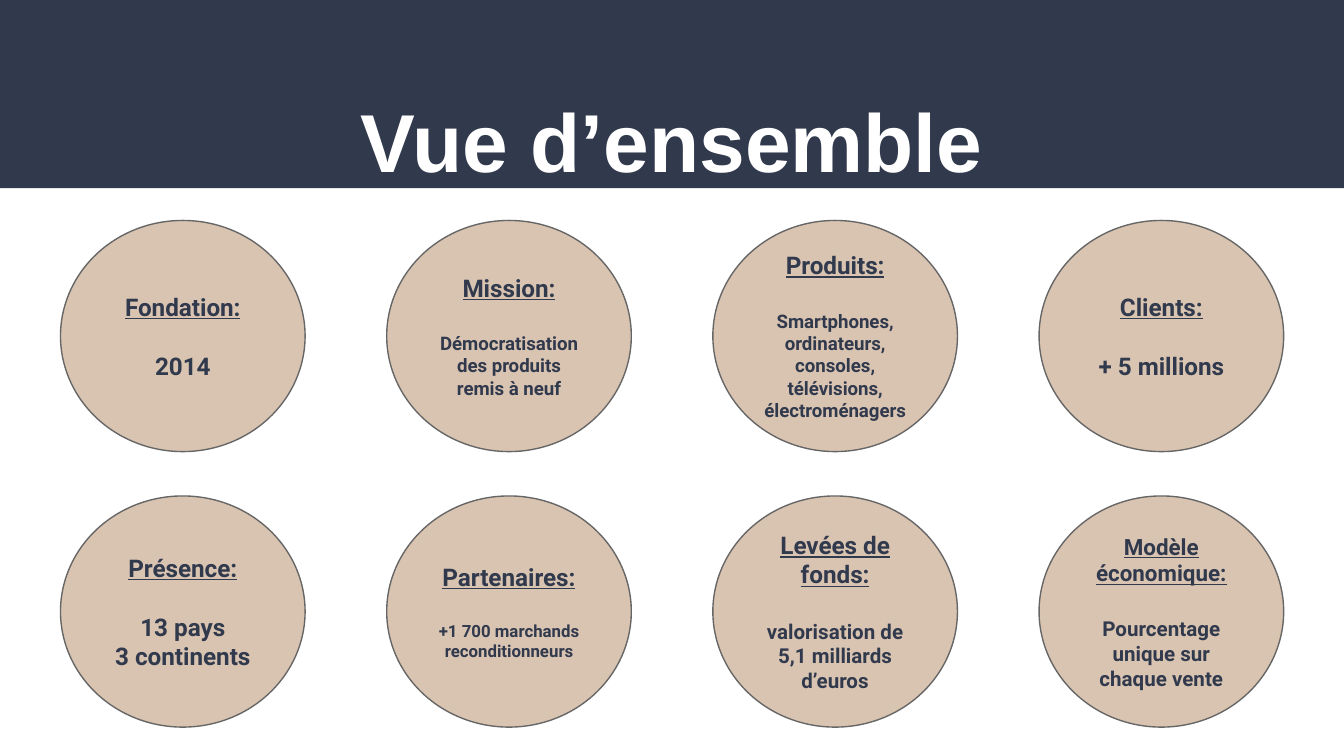
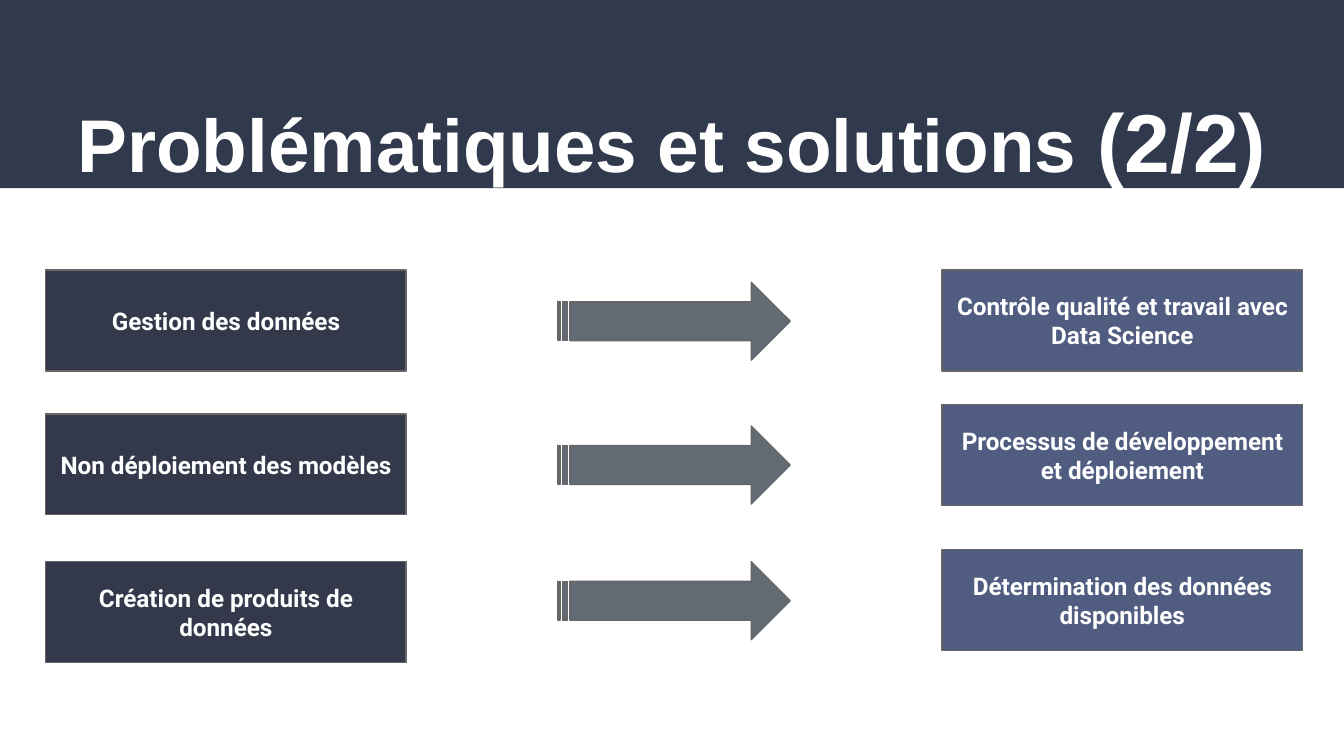
"""Build two slides: a company overview and a problems-to-solutions map."""
from dataclasses import dataclass
from typing import Any

from pptx import Presentation
from pptx.dml.color import RGBColor
from pptx.enum.shapes import MSO_SHAPE
from pptx.enum.text import MSO_ANCHOR, PP_ALIGN
from pptx.util import Emu, Inches, Pt

SLIDE_WIDTH, SLIDE_HEIGHT = Inches(10), Inches(5.625)
COLUMNS = 100
MODULE = SLIDE_WIDTH / COLUMNS

NAVY, SAND, GREY, WHITE = "31394D", "D9C4B1", "666666", "FFFFFF"
PROBLEM_FILL, SOLUTION_FILL, ARROW_FILL = "33394B", "505C80", "626B73"
TITLE_FONT, BODY_FONT = "Arial", "Roboto"
FRAME = {"margin_left": Inches(0.1), "margin_right": Inches(0.1),
         "margin_top": Inches(0.1), "margin_bottom": Inches(0.1), "word_wrap": True}


@dataclass(frozen=True)
class Area:
    left: float
    top: float
    width: float
    height: float

    def lengths(self) -> list[Emu]:
        return [Emu(round(modules * MODULE))
                for modules in (self.left, self.top, self.width, self.height)]


@dataclass(frozen=True)
class Span:
    text: str
    size: float = 13
    color: str = WHITE
    font: str = BODY_FONT
    underline: bool = False


@dataclass(frozen=True)
class Fact:
    heading: str
    details: tuple[str, ...]
    detail_size: float = 13
    heading_size: float = 13


@dataclass(frozen=True)
class Match:
    problem: str
    solution: str
    problem_top: float
    solution_top: float
    arrow_top: float


BAND = Area(0, 0, COLUMNS, 14)
TITLE = Area(3.4, 4.6, 93.2, 6.8)
CIRCLE = Area(4.5, 16.4, 18.2, 17.2)
CIRCLES_PER_ROW, CIRCLE_STEP, CIRCLE_ROW_STEP = 4, 24.27, 20.5
HEADING_GAP = 16

FACTS = (
    Fact("Fondation:", ("2014",)),
    Fact("Mission:", ("Démocratisation des produits remis à neuf",), 10),
    Fact("Produits:", ("Smartphones, ordinateurs, consoles, télévisions, électroménagers",), 10),
    Fact("Clients:", ("+ 5 millions",)),
    Fact("Présence:", ("13 pays", "3 continents")),
    Fact("Partenaires:", ("+1 700 marchands reconditionneurs",), 9),
    Fact("Levées de fonds:", ("valorisation de 5,1 milliards d’euros",), 11),
    Fact("Modèle économique:", ("Pourcentage unique sur chaque vente",), 11, 12),
)
MATCHES = (
    Match("Gestion des données", "Contrôle qualité et travail avec Data Science",
          20.1, 20.1, 21),
    Match("Non déploiement des modèles", "Processus de développement et déploiement",
          30.8, 30.1, 31.7),
    Match("Création de produits de données", "Détermination des données disponibles",
          41.8, 40.9, 41.8),
)


def rgb(color: str) -> RGBColor:
    return RGBColor.from_string(color)


def apply(target: Any, values: dict[str, Any]) -> None:
    for name, value in values.items():
        setattr(target, name, value)


def add_box(page: Any, kind: MSO_SHAPE, area: Area, fill: str, line: str | None = GREY) -> Any:
    box = page.shapes.add_shape(kind, *area.lengths())
    box.shadow.inherit = False
    box.fill.solid()
    box.fill.fore_color.rgb = rgb(fill)
    if line is None:
        box.line.fill.background()
    else:
        box.line.color.rgb = rgb(line)
        box.line.width = Pt(0.75)
    apply(box.text_frame, FRAME | {"vertical_anchor": MSO_ANCHOR.MIDDLE})
    return box


def write(para: Any, *spans: Span) -> None:
    para.alignment = PP_ALIGN.CENTER
    for span in spans:
        run = para.add_run()
        run.text = span.text
        apply(run.font, {"name": span.font, "size": Pt(span.size),
                         "bold": True, "underline": span.underline})
        run.font.color.rgb = rgb(span.color)


def add_page(deck: Any, *title: Span) -> Any:
    page = deck.slides.add_slide(deck.slide_layouts[6])
    add_box(page, MSO_SHAPE.RECTANGLE, BAND, NAVY, None)
    box = page.shapes.add_textbox(*TITLE.lengths())
    apply(box.text_frame, FRAME | {"vertical_anchor": MSO_ANCHOR.TOP})
    para = box.text_frame.paragraphs[0]
    para.line_spacing = 1.15
    write(para, *title)
    return page


def add_fact(page: Any, fact: Fact, index: int) -> None:
    row, column = divmod(index, CIRCLES_PER_ROW)
    area = Area(CIRCLE.left + column * CIRCLE_STEP, CIRCLE.top + row * CIRCLE_ROW_STEP,
                CIRCLE.width, CIRCLE.height)
    frame = add_box(page, MSO_SHAPE.OVAL, area, SAND).text_frame
    write(frame.paragraphs[0], Span(fact.heading, fact.heading_size, NAVY, underline=True))
    for position, detail in enumerate(fact.details):
        para = frame.add_paragraph()
        if position == 0:
            para.space_before = Pt(HEADING_GAP)
        write(para, Span(detail, fact.detail_size, NAVY))


def add_match(page: Any, match: Match) -> None:
    for text, left, top, fill in (
            (match.problem, 3.4, match.problem_top, PROBLEM_FILL),
            (match.solution, 70.1, match.solution_top, SOLUTION_FILL)):
        box = add_box(page, MSO_SHAPE.RECTANGLE, Area(left, top, 26.8, 7.5), fill)
        write(box.text_frame.paragraphs[0], Span(text))
    add_box(page, MSO_SHAPE.STRIPED_RIGHT_ARROW,
            Area(41.5, match.arrow_top, 17.3, 5.8), ARROW_FILL)


def main() -> None:
    deck = Presentation()
    apply(deck, {"slide_width": SLIDE_WIDTH, "slide_height": SLIDE_HEIGHT})

    overview = add_page(deck, Span("Vue d’ensemble", 44, font=TITLE_FONT))
    for index, fact in enumerate(FACTS):
        add_fact(overview, fact, index)

    solutions = add_page(deck, Span("Problématiques et solutions ", 40, font=TITLE_FONT),
                         Span("(2/2)", 44, font=TITLE_FONT))
    for match in MATCHES:
        add_match(solutions, match)

    deck.save("out.pptx")


if __name__ == "__main__":
    main()
